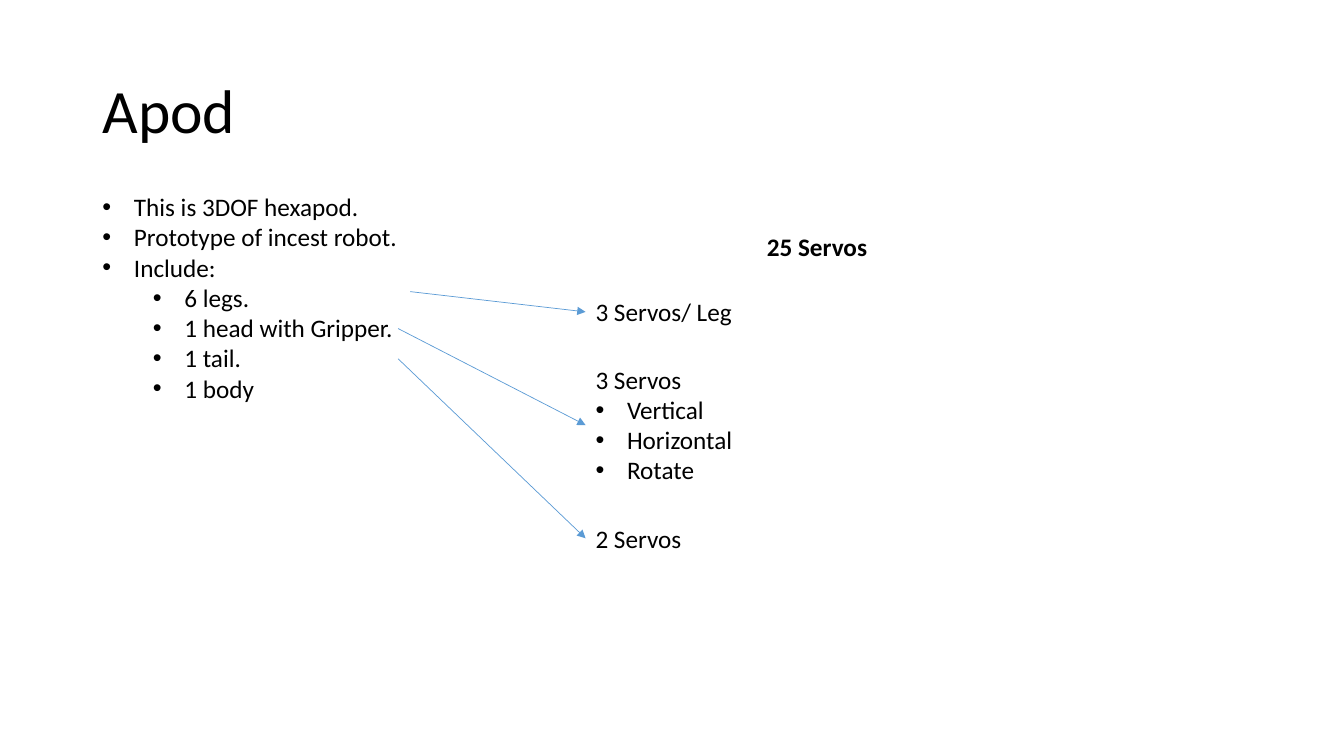
from lxml.etree import SubElement
from pptx import Presentation
from pptx.dml.color import RGBColor
from pptx.enum.shapes import MSO_CONNECTOR
from pptx.enum.text import MSO_ANCHOR, PP_ALIGN
from pptx.oxml.ns import qn
from pptx.util import Pt

BLACK = "000000"
ARROW_BLUE = "5B9BD5"
BULLET_INDENT = 22.5
LEVEL_STEP = 36
TEXT_LEFT = 418.3


def color(hex_value):
    return RGBColor.from_string(hex_value)


def place(shape, box):
    shape.left, shape.top, shape.width, shape.height = map(Pt, box)


def add_bullet(paragraph, level):
    paragraph.level = level
    properties = paragraph._p.get_or_add_pPr()
    properties.set("marL", str(Pt(BULLET_INDENT + level * LEVEL_STEP)))
    properties.set("indent", str(Pt(-BULLET_INDENT)))
    SubElement(properties, qn("a:buFont"), typeface="Arial")
    SubElement(properties, qn("a:buChar"), char="•")


def fill_text(text_frame, lines, size=18, bold=False, line_spacing=1.0):
    """Write (text, level) lines; a level of None means no bullet."""
    text_frame.word_wrap = True
    for index, (text, level) in enumerate(lines):
        paragraph = text_frame.paragraphs[0] if index == 0 else text_frame.add_paragraph()
        paragraph.text = text
        paragraph.alignment = PP_ALIGN.LEFT
        paragraph.line_spacing = line_spacing
        paragraph.space_before = paragraph.space_after = Pt(0)
        if level is not None:
            add_bullet(paragraph, level)
        for run in paragraph.runs:
            run.font.name = "Calibri"
            run.font.size = Pt(size)
            run.font.bold = bold
            run.font.color.rgb = color(BLACK)


def fill_title(slide, box):
    title = slide.shapes.title
    place(title, box)
    title.text_frame.vertical_anchor = MSO_ANCHOR.MIDDLE
    fill_text(title.text_frame, [("Apod", None)], size=44, line_spacing=0.9)


def fill_description(slide, box):
    body = slide.placeholders[1]
    place(body, box)
    fill_text(body.text_frame, [
        ("This is 3DOF hexapod.", 0),
        ("Prototype of incest robot.", 0),
        ("Include:", 0),
        ("6 legs.", 1),
        ("1 head with Gripper.", 1),
        ("1 tail.", 1),
        ("1 body", 1),
    ])


def add_label(slide, box, lines, bold=False):
    label = slide.shapes.add_textbox(*map(Pt, box))
    fill_text(label.text_frame, lines, bold=bold)


def add_arrow(slide, start, end):
    arrow = slide.shapes.add_connector(
        MSO_CONNECTOR.STRAIGHT, *map(Pt, start + end))
    arrow.line.color.rgb = color(ARROW_BLUE)
    arrow.line.width = Pt(0.5)
    SubElement(arrow.line._get_or_add_ln(), qn("a:tailEnd"), type="triangle")
    SubElement(arrow._element.spPr, qn("a:effectLst"))


def add_servo_group(slide, box, lines, arrow_start):
    """Add a servo label with an arrow to the middle of its left edge."""
    left, top, width, height = box
    add_label(slide, box, lines)
    add_arrow(slide, arrow_start, (left, top + height / 2))


def main():
    presentation = Presentation()
    presentation.slide_width = Pt(960)
    presentation.slide_height = Pt(540)
    slide = presentation.slides.add_slide(presentation.slide_layouts[1])

    fill_title(slide, (66, 28.8, 191.5, 104.4))
    fill_description(slide, (66, 133.2, 230, 203.8))
    add_label(slide, (540.7, 162, 174.2, 29), [("25 Servos", None)], bold=True)

    add_servo_group(slide, (TEXT_LEFT, 208.3, 129.6, 29),
                    [("3 Servos/ Leg", None)], (293, 208.3))
    add_servo_group(slide, (TEXT_LEFT, 256.5, 113, 94.3),
                    [("3 Servos", None), ("Vertical", 0),
                     ("Horizontal", 0), ("Rotate", 0)], (284.4, 234.7))
    add_servo_group(slide, (TEXT_LEFT, 370, 76.3, 29),
                    [("2 Servos", None)], (284.4, 256.3))

    presentation.save("out.pptx")


if __name__ == "__main__":
    main()
